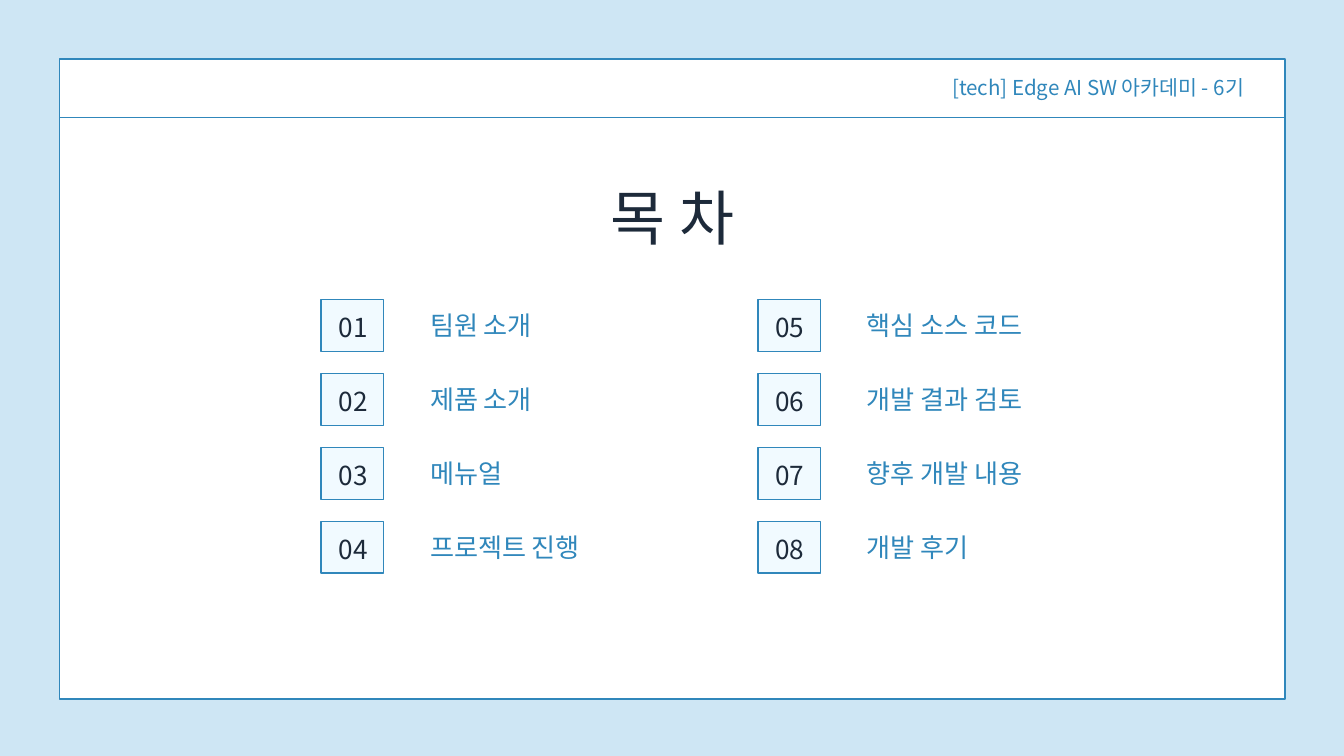
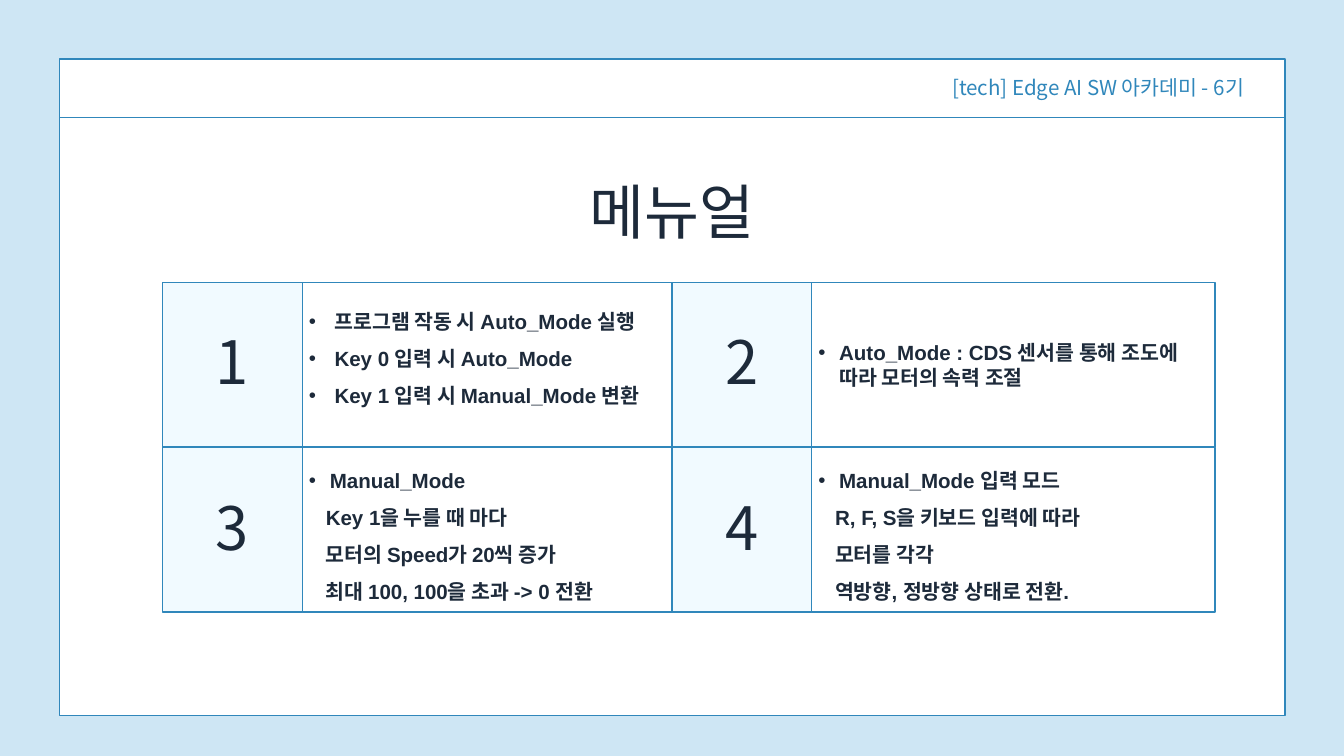
"""Builds the contents slide and the manual slide of a student project deck."""
from lxml.etree import SubElement
from pptx import Presentation
from pptx.dml.color import RGBColor
from pptx.enum.shapes import MSO_CONNECTOR as Connector, MSO_SHAPE as Shape
from pptx.enum.text import MSO_ANCHOR as Anchor, MSO_AUTO_SIZE as AutoSize, PP_ALIGN as Align
from pptx.oxml.ns import qn
from pptx.util import Inches, Pt

SKY, WHITE, PALE, BLUE, NAVY = "CEE6F4", "FFFFFF", "F1FAFF", "3087BB", "1D2A3A"
KOREAN_FONT, BODY_FONT = "Noto Sans CJK KR", "Arial"
COURSE = "[tech] Edge AI SW 아카데미 - 6기"

CONTENTS = ["팀원 소개", "제품 소개", "메뉴얼", "프로젝트 진행",
            "핵심 소스 코드", "개발 결과 검토", "향후 개발 내용", "개발 후기"]
CONTENTS_ROWS = 4

MODE_START = ["프로그램 작동 시 Auto_Mode 실행", "Key 0 입력 시 Auto_Mode",
              "Key 1 입력 시 Manual_Mode 변환"]
AUTO_MODE = ["Auto_Mode : CDS 센서를 통해 조도에 따라 모터의 속력 조절"]
MANUAL_SPEED = ["Manual_Mode", "Key 1을 누를 때 마다", "모터의 Speed가 20씩 증가",
                "최대 100, 100을 초과 -> 0 전환"]
MANUAL_INPUT = ["Manual_Mode 입력 모드", "R, F, S을 키보드 입력에 따라", "모터를 각각",
                "역방향, 정방향 상태로 전환."]


def rgb(value):
    """Turn a hex string into a colour."""
    return RGBColor.from_string(value)


def write_text(paragraph, text, size=22, color=NAVY, font=KOREAN_FONT, bold=False,
               align=Align.LEFT, spacing=1.0, left=0, bullet=False):
    """Fill a paragraph with one formatted run."""
    properties = paragraph._p.get_or_add_pPr()
    properties.set("marL", str(Inches(left)))
    properties.set("indent", str(Inches(-left if bullet else 0)))
    if bullet:
        SubElement(properties, qn("a:buFont"), typeface=BODY_FONT)
        SubElement(properties, qn("a:buChar"), char="•")
    paragraph.alignment = align
    paragraph.line_spacing = spacing
    run = paragraph.add_run()
    run.text = text
    run.font.size = Pt(size)
    run.font.name = font
    run.font.bold = bold
    run.font.color.rgb = rgb(color)
    SubElement(run._r.get_or_add_rPr(), qn("a:ea"), typeface=KOREAN_FONT)


def add_label(slide, text, left, top, width, height, **text_format):
    """Add a one-line text box without insets."""
    frame = slide.shapes.add_textbox(
        Inches(left), Inches(top), Inches(width), Inches(height)).text_frame
    frame.margin_left = frame.margin_right = frame.margin_top = frame.margin_bottom = 0
    frame.word_wrap = True
    frame.auto_size = AutoSize.SHAPE_TO_FIT_TEXT
    write_text(frame.paragraphs[0], text, **text_format)


def add_box(slide, left, top, width, height, fill=None):
    """Add a blue-outlined rectangle, filled if a colour is given."""
    box = slide.shapes.add_shape(
        Shape.RECTANGLE, Inches(left), Inches(top), Inches(width), Inches(height))
    box.shadow.inherit = False
    if fill:
        box.fill.solid()
        box.fill.fore_color.rgb = rgb(fill)
    else:
        box.fill.background()
    box.line.color.rgb = rgb(BLUE)
    box.line.width = Pt(1.5)
    return box


def add_divider(slide, left, right, top):
    """Add the horizontal line below the header."""
    divider = slide.shapes.add_connector(
        Connector.STRAIGHT, Inches(left), Inches(top), Inches(right), Inches(top))
    divider.line.color.rgb = rgb(BLUE)
    divider.line.width = Pt(1.5)
    SubElement(divider._element.spPr, qn("a:effectLst"))


def add_framed_slide(presentation, title, title_top, frame_height):
    """Add a slide with the shared background, frame, header and title."""
    slide = presentation.slides.add_slide(presentation.slide_layouts[6])
    slide.background.fill.solid()
    slide.background.fill.fore_color.rgb = rgb(SKY)
    add_box(slide, 0.89, 0.88, 18.23, frame_height, WHITE)
    add_divider(slide, 0.89, 19.11, 1.75)
    add_label(slide, COURSE, 13.06, 1.06, 5.45, 0.42,
              color=BLUE, align=Align.RIGHT, spacing=Pt(30.8))
    add_label(slide, title, 6.94, title_top, 6.13, 1.19,
              size=64, align=Align.CENTER, spacing=Pt(89.6))
    return slide


def add_contents_item(slide, number, text, left, top):
    """Add a boxed number with its section name."""
    add_box(slide, left, top, 0.93, 0.77, PALE)
    add_label(slide, f"{number:02}", left - 0.17, top + 0.17, 1.29, 0.45,
              size=28, align=Align.CENTER, spacing=Pt(33.6))
    add_label(slide, text, left + 1.62, top + 0.15, 4.25, 0.47,
              size=28, color=BLUE, spacing=Pt(33.6))


def add_manual_card(slide, number, lines, left, top, width, bullets=1, hanging=0.31,
                    spacing=1.5, bottom_inset=0.05):
    """Add a numbered cell and the instructions beside it."""
    number_width, height = 2.08, 2.45
    add_box(slide, left, top, number_width, height, PALE)
    add_label(slide, str(number), left + 0.44, top + 0.46, 1.19, 1.29,
              size=64, align=Align.CENTER, spacing=Pt(89.6))
    frame = add_box(slide, left + number_width, top, width, height).text_frame
    frame.word_wrap = True
    frame.vertical_anchor = Anchor.MIDDLE
    frame.margin_bottom = Inches(bottom_inset)
    for index, line in enumerate(lines):
        paragraph = frame.add_paragraph() if index else frame.paragraphs[0]
        bullet = index < bullets
        write_text(paragraph, line, font=BODY_FONT, bold=True, spacing=spacing,
                   left=hanging if bullet else 0.25, bullet=bullet)


def build_contents(presentation):
    """Build the table of contents in two columns."""
    slide = add_framed_slide(presentation, "목 차", 2.51, 9.52)
    for index, text in enumerate(CONTENTS):
        column, row = divmod(index, CONTENTS_ROWS)
        add_contents_item(slide, index + 1, text, 4.78 + 6.5 * column, 4.46 + 1.1 * row)


def build_manual(presentation):
    """Build the manual as a two by two grid of cards."""
    slide = add_framed_slide(presentation, "메뉴얼", 2.42, 9.77)
    left, right, upper, lower = 2.42, 10, 4.2, 6.66
    add_manual_card(slide, 1, MODE_START, left, upper, 5.5,
                    bullets=3, hanging=0.38, bottom_inset=0.42)
    add_manual_card(slide, 2, AUTO_MODE, right, upper, 6, spacing=Pt(26.6))
    add_manual_card(slide, 3, MANUAL_SPEED, left, lower, 5.5)
    add_manual_card(slide, 4, MANUAL_INPUT, right, lower, 6)


def main():
    """Build and save the presentation."""
    presentation = Presentation()
    presentation.slide_width = Inches(20)
    presentation.slide_height = Inches(11.25)
    build_contents(presentation)
    build_manual(presentation)
    presentation.save("out.pptx")


if __name__ == "__main__":
    main()
